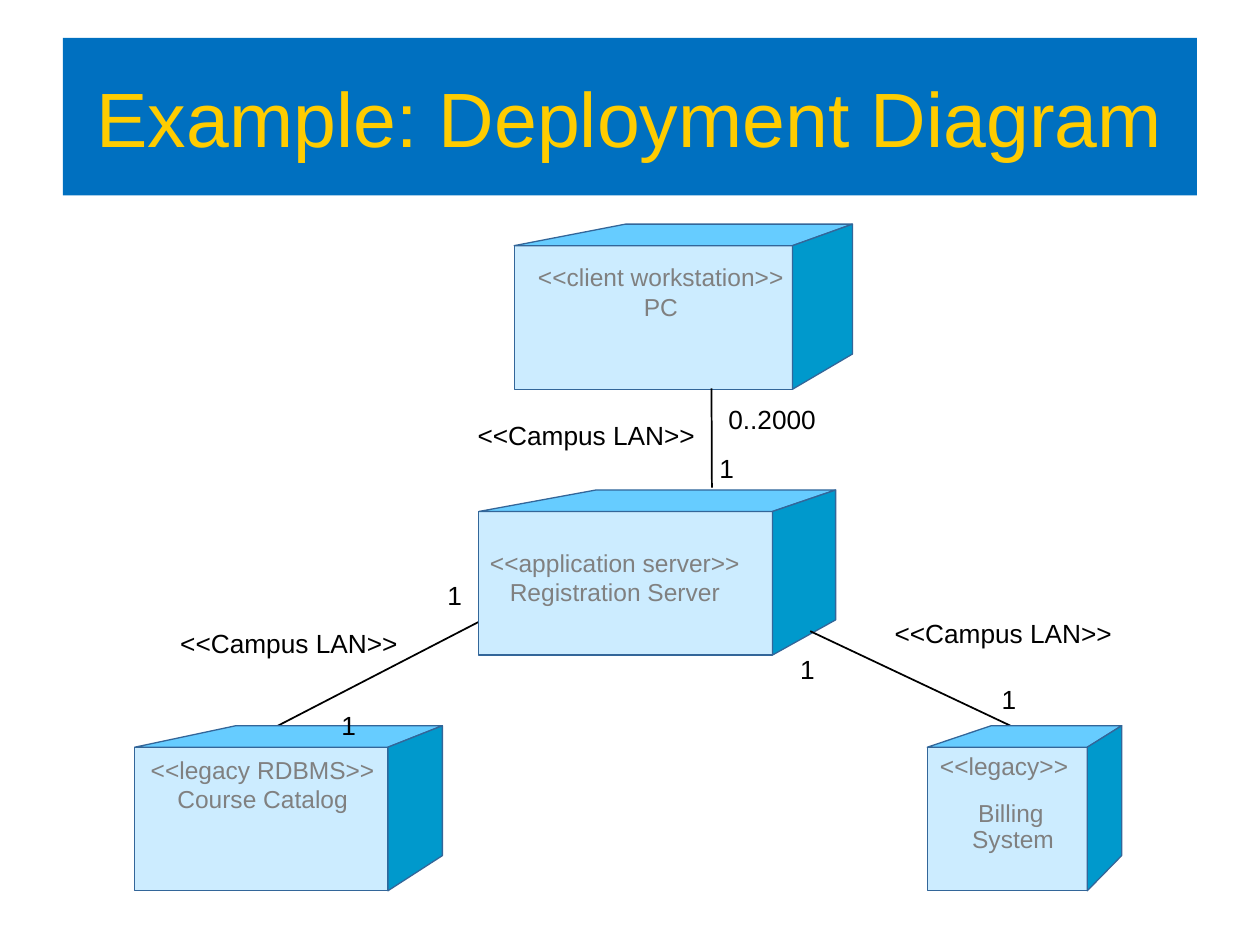
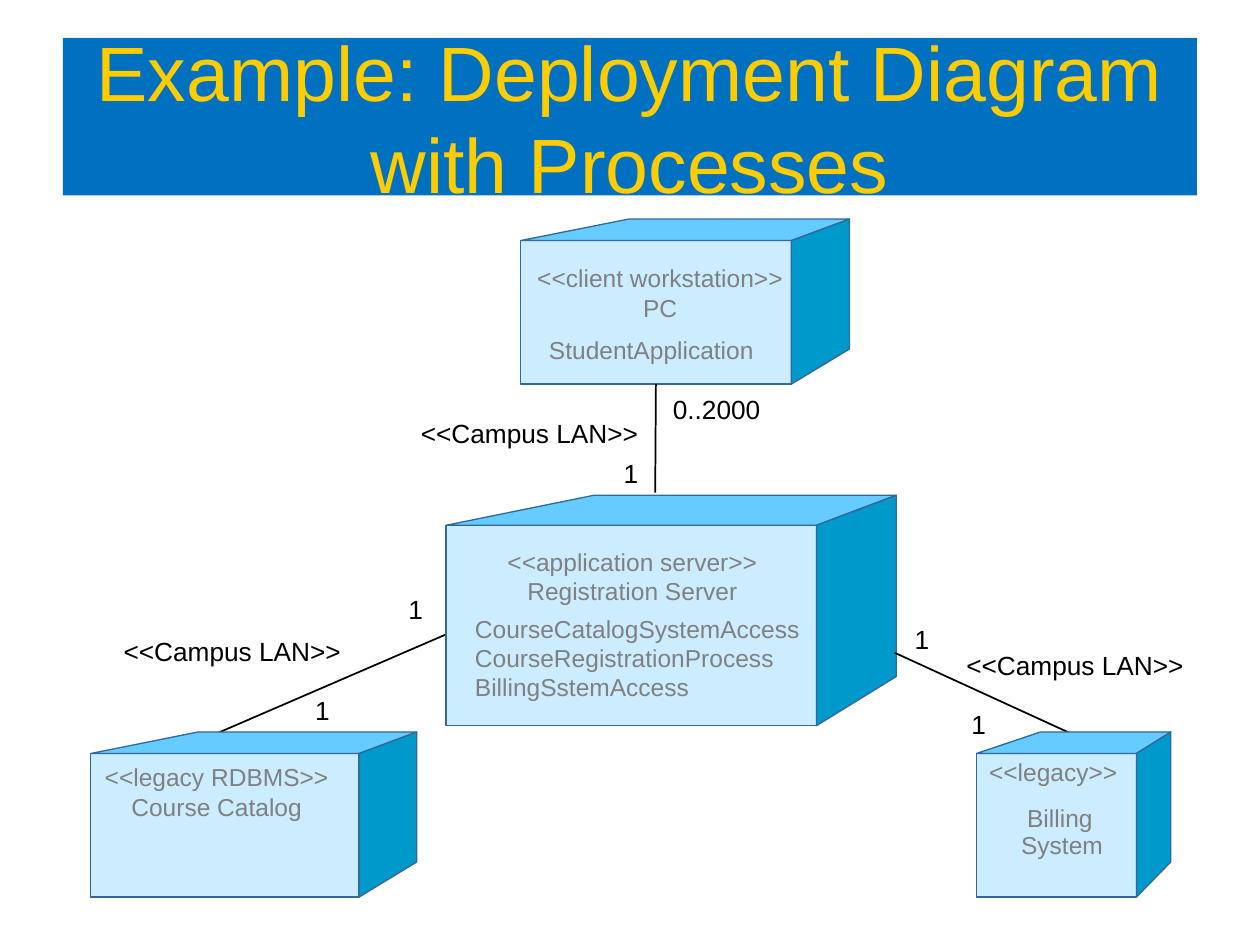
from pptx import Presentation
from pptx.util import Pt
from pptx.dml.color import RGBColor
from pptx.enum.shapes import MSO_SHAPE as Shape, MSO_CONNECTOR as Link
from pptx.enum.text import PP_ALIGN as Align, MSO_ANCHOR as Anchor
from pptx.oxml.ns import qn
from lxml import etree

HUE = {"band": "0070C0", "title": "FFCC00", "front": "CCECFF", "top": "66CCFF",
       "side": "0099CC", "edge": "336699", "note": "808080", "ink": "000000"}
HUE = {name: RGBColor.from_string(code) for name, code in HUE.items()}
LEFT, MID = Align.LEFT, Align.CENTER
FRAME = {"margin_left": 0, "margin_right": 0, "margin_top": 0, "margin_bottom": 0}
WIDE = {"<<Campus LAN>>": 124.6, "0..2000": 50.4, "1": 8.6}


def write(shape, text, size, hue, align, form):
    frame = shape.text_frame
    for key, val in form.items():
        setattr(frame, key, val)
    for i, line in enumerate(text.split("\n")):
        para = frame.paragraphs[0] if i == 0 else frame.add_paragraph()
        para.alignment = align
        run = para.add_run()
        run.text = line
        for key, val in {"name": "Arial", "size": Pt(size)}.items():
            setattr(run.font, key, val)
        run.font.color.rgb = HUE[hue]


def paint(shape, fill, edge=None):
    shape.shadow.inherit = False
    shape.fill.solid()
    shape.fill.fore_color.rgb = HUE[fill]
    if edge:
        shape.line.color.rgb = HUE[edge]
        shape.line.width = Pt(0)
    else:
        shape.line.fill.background()


PAGES = [
    {
        "title": "Example: Deployment Diagram",
        "parts": [
            ("line", 274.3, 355, 150.5, 419),
            ("cube", 77, 427, 144.7, 82),
            ("cube", 273.6, 292.3, 167.8, 82),
            ("cube", 293.8, 140.4, 159.1, 82),
            ("line", 406.6, 222, 406.8, 278.6),
            ("line", 463, 360.7, 589.7, 420.5),
            ("cube", 529.9, 427, 91.4, 82),
        ],
        "notes": [
            ("<<legacy RDBMS>>\nCourse Catalog", 79.9, 431.3, 140.4, MID),
            ("<<application server>>\nRegistration Server", 276.4, 313.2, 150, MID),
            ("<<client workstation>>\nPC", 301.7, 149.8, 151.9, MID),
            ("<<legacy>>", 537.1, 429.1, 82.8, LEFT),
            ("Billing ", 535, 455.8, 89.3, MID),
            ("System", 535, 470.9, 87.8, MID),
        ],
        "tags": [
            ("<<Campus LAN>>", 272.9, 239.8), ("<<Campus LAN>>", 511.2, 352.8),
            ("<<Campus LAN>>", 103, 358.6), ("0..2000", 416.2, 230.4),
            ("1", 411.1, 258.5), ("1", 195.1, 405.4), ("1", 255.6, 331.2),
            ("1", 457.2, 373), ("1", 572.4, 390.2),
        ],
    },
    {
        "title": "Example: Deployment Diagram with Processes",
        "parts": [
            ("line", 317.5, 335.5, 112.3, 424.1),
            ("cube", 51.8, 430.6, 153.4, 82),
            ("cube", 254.9, 300.2, 211.7, 114.5),
            ("cube", 297.4, 137.5, 154.8, 82),
            ("line", 376.6, 218.2, 374.4, 281.5),
            ("line", 511.2, 373, 614.9, 420.5),
            ("cube", 558, 430.6, 91.4, 82),
        ],
        "notes": [
            ("<<legacy RDBMS>>\nCourse Catalog", 49.7, 435.6, 148.3, MID),
            ("<<application server>>\nRegistration Server", 286.4, 312.5, 150, MID),
            ("<<client workstation>>\nPC", 303.1, 150.5, 148.3, MID),
            ("<<legacy>>", 565.2, 432.7, 82.8, LEFT),
            ("Billing ", 563, 458.6, 89.3, MID),
            ("System", 563, 474.5, 87.8, MID),
            ("CourseCatalogSystemAccess\nCourseRegistrationProcess\nBillingSstemAccess",
             271.4, 350.6, 190, LEFT),
            ("StudentApplication", 298.1, 191.5, 148.3, MID),
        ],
        "tags": [
            ("<<Campus LAN>>", 240.5, 238.3), ("<<Campus LAN>>", 552.2, 370.8),
            ("<<Campus LAN>>", 70.6, 362.9), ("0..2000", 384.5, 224.6),
            ("1", 356.4, 261.4), ("1", 180, 396.7), ("1", 233.3, 339.1),
            ("1", 522.7, 356.4), ("1", 555.1, 404.6),
        ],
    },
]

deck = Presentation()
deck.slide_width, deck.slide_height = Pt(720), Pt(540)

for page in PAGES:
    slide = deck.slides.add_slide(deck.slide_layouts[6])
    shapes = slide.shapes
    band = shapes.add_shape(Shape.RECTANGLE, Pt(36), Pt(21.6), Pt(648), Pt(90))
    paint(band, "band")
    write(band, page["title"], 44, "title", MID,
          {"word_wrap": True, "vertical_anchor": Anchor.MIDDLE})

    fronts = []
    for kind, x, y, a, b in page["parts"]:
        if kind == "line":
            line = shapes.add_connector(Link.STRAIGHT, Pt(x), Pt(y), Pt(a), Pt(b))
            line.line.color.rgb = HUE["ink"]
            line.line.width = Pt(1)
            etree.SubElement(line._element.spPr, qn("a:effectLst"))
            for front in fronts:
                gap = front.left + front.width / 2 - Pt(x), front.top + front.height - Pt(y)
                if max(map(abs, gap)) < Pt(2):
                    line.begin_connect(front, 2)
            continue
        front = shapes.add_shape(Shape.RECTANGLE, Pt(x), Pt(y), Pt(a), Pt(b))
        paint(front, "front", "edge")
        fronts.append(front)
        right, back, roof = x + a, x + 1.215 * a, y - 0.15 * b
        faces = {
            "top": [(x, y), (x + 0.4 * a, roof), (back, roof), (right, y)],
            "side": [(right, y), (back, roof), (back, y + 0.755 * b), (right, y + b)],
        }
        for hue, spots in faces.items():
            spots = [(Pt(h), Pt(v)) for h, v in spots]
            pen = shapes.build_freeform(*spots[0])
            pen.add_line_segments(spots[1:], close=True)
            paint(pen.convert_to_shape(), hue, "edge")

    for text, x, y, wide, align in page["notes"]:
        high = 16.8 * (text.count("\n") + 1)
        box = shapes.add_textbox(Pt(x), Pt(y), Pt(wide), Pt(high))
        write(box, text, 14, "note", align, {**FRAME, "word_wrap": True})
    for text, x, y in page["tags"]:
        box = shapes.add_textbox(Pt(x), Pt(y), Pt(WIDE[text]), Pt(18))
        write(box, text, 15, "ink", LEFT, {**FRAME, "word_wrap": False})

deck.save("out.pptx")
